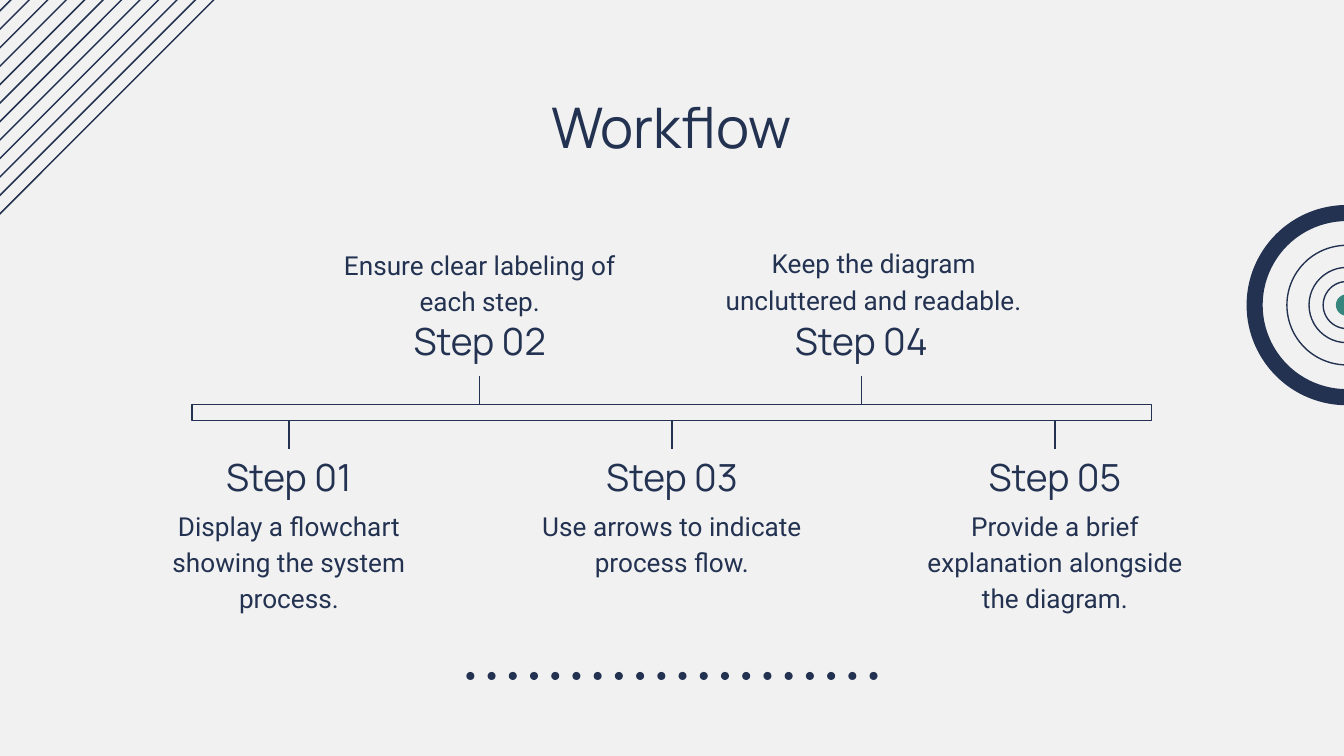
from lxml import etree
from pptx import Presentation
from pptx.dml.color import RGBColor
from pptx.enum.shapes import MSO_CONNECTOR, MSO_SHAPE
from pptx.enum.text import MSO_ANCHOR, PP_ALIGN
from pptx.oxml.ns import qn
from pptx.util import Inches, Pt

LINE = MSO_CONNECTOR.STRAIGHT
RECT, OVAL, DONUT = MSO_SHAPE.RECTANGLE, MSO_SHAPE.OVAL, MSO_SHAPE.DONUT
TOP, BASE = MSO_ANCHOR.TOP, MSO_ANCHOR.BOTTOM
CENTER = PP_ALIGN.CENTER
NAVY, TEAL, PALE = "233251", "36867D", "F1F1F1"
HEAD, BODY = "Manrope", "Roboto"

# Left and width of the note, top of the note, wording
STEPS = [
    (0.98, 2.34, 3.66, "Display a flowchart showing the system process."),
    (2.4, 2.34, 1.72, "Ensure clear labeling of each step."),
    (3.83, 2.34, 3.66, "Use arrows to indicate process flow."),
    (5.24, 2.52, 1.71, "Keep the diagram uncluttered and readable."),
    (6.68, 2.34, 3.66, "Provide a brief explanation alongside the diagram."),
]


def color(value):
    return RGBColor.from_string(value)


def add_shape(slide, kind, x, y, w, h, fill=None, line=None, width=0.75):
    shape = slide.shapes.add_shape(kind, Inches(x), Inches(y), Inches(w), Inches(h))
    shape.shadow.inherit = False
    if fill:
        shape.fill.solid()
        shape.fill.fore_color.rgb = color(fill)
    else:
        shape.fill.background()
    if line:
        shape.line.color.rgb = color(line)
        shape.line.width = Pt(width)
    else:
        shape.line.fill.background()
    return shape


def add_disc(slide, x, y, size, kind=OVAL, **style):
    """Add a round shape centred on x, y."""
    return add_shape(slide, kind, x - size / 2, y - size / 2, size, size, **style)


def add_line(slide, x1, y1, x2, y2, width=0.75):
    line = slide.shapes.add_connector(
        LINE, Inches(x1), Inches(y1), Inches(x2), Inches(y2))
    line.line.color.rgb = color(NAVY)
    line.line.width = Pt(width)
    etree.SubElement(line._element.spPr, qn("a:effectLst"))
    return line


def add_text(slide, text, x, y, w, h, font, size, anchor=TOP, space=1.0):
    box = slide.shapes.add_textbox(Inches(x), Inches(y), Inches(w), Inches(h))
    frame = box.text_frame
    frame.word_wrap = True
    frame.vertical_anchor = anchor
    frame.margin_left = frame.margin_right = Inches(0.1)
    frame.margin_top = frame.margin_bottom = Inches(0.1)
    para = frame.paragraphs[0]
    para.text = text
    para.alignment = CENTER
    para.line_spacing = space
    para.font.name = font
    para.font.size = Pt(size)
    para.font.color.rgb = color(NAVY)
    return box


def add_decor(slide):
    # Diagonal stripes in the corner
    for i in range(12):
        x = -0.04 - 1.51 * i / 11
        add_line(slide, x, 1.63, x + 2.18, -0.55, 0.78)

    # Dotted row
    for i in range(20):
        add_disc(slide, 3.5 + 3 * i / 19, 5.03, 0.06, fill=NAVY)

    # Target at the right edge
    x, y = 10.02, 2.27
    for size in (0.89, 0.56, 0.35):
        add_disc(slide, x, y, size, line=NAVY)
    add_disc(slide, x, y, 0.16, fill=TEAL)
    ring = add_disc(slide, x, y, 1.49, DONUT, fill=NAVY)
    ring.adjustments[0] = 0.12 / 1.49


def add_step(slide, bar, num, x, w, y, note):
    above = num % 2 == 0
    head_y, head_h = (2.34, 0.46) if above else (3.34, 0.47)
    head = add_text(slide, f"Step {num:02}", x, head_y, 2.34, head_h,
                    HEAD, 20, BASE)
    add_text(slide, note, x, y, w, 0.66, BODY, 14, space=1.15)

    # Tick between heading and bar
    mid = x + 1.17
    start, end = (2.8, 3.01) if above else (3.34, 3.13)
    tick = add_line(slide, mid, start, mid, end)
    tick.begin_connect(head, 2 if above else 0)
    if num == 3:
        tick.end_connect(bar, 2)


def main():
    deck = Presentation()
    deck.slide_width, deck.slide_height = Inches(10), Inches(10 * 9 / 16)
    slide = deck.slides.add_slide(deck.slide_layouts[6])
    slide.background.fill.solid()
    slide.background.fill.fore_color.rgb = color(PALE)

    add_decor(slide)
    add_text(slide, "Workflow", 0.95, 0.59, 8.09, 0.63, HEAD, 30)

    # Timeline
    bar = add_shape(slide, RECT, 1.43, 3.01, 7.14, 0.12, line=NAVY)
    for num, step in enumerate(STEPS, 1):
        add_step(slide, bar, num, *step)

    deck.save("out.pptx")


if __name__ == "__main__":
    main()
